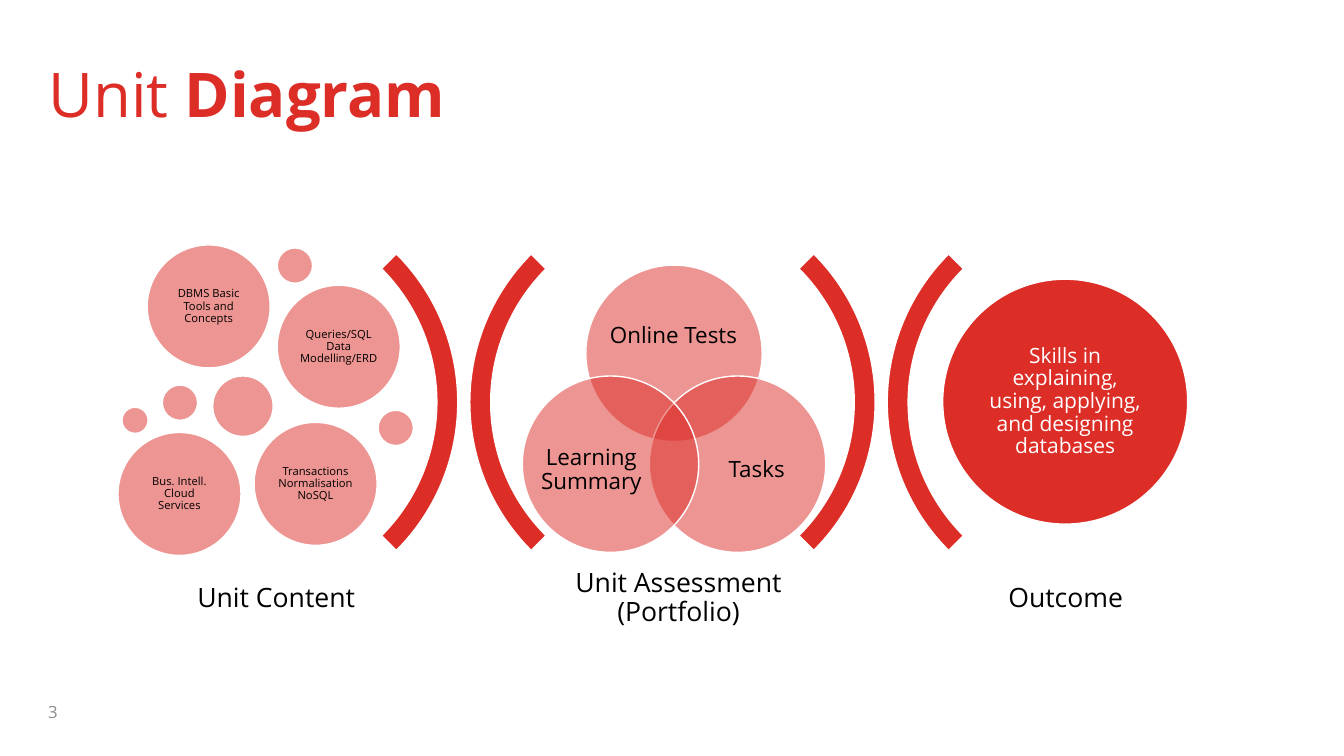
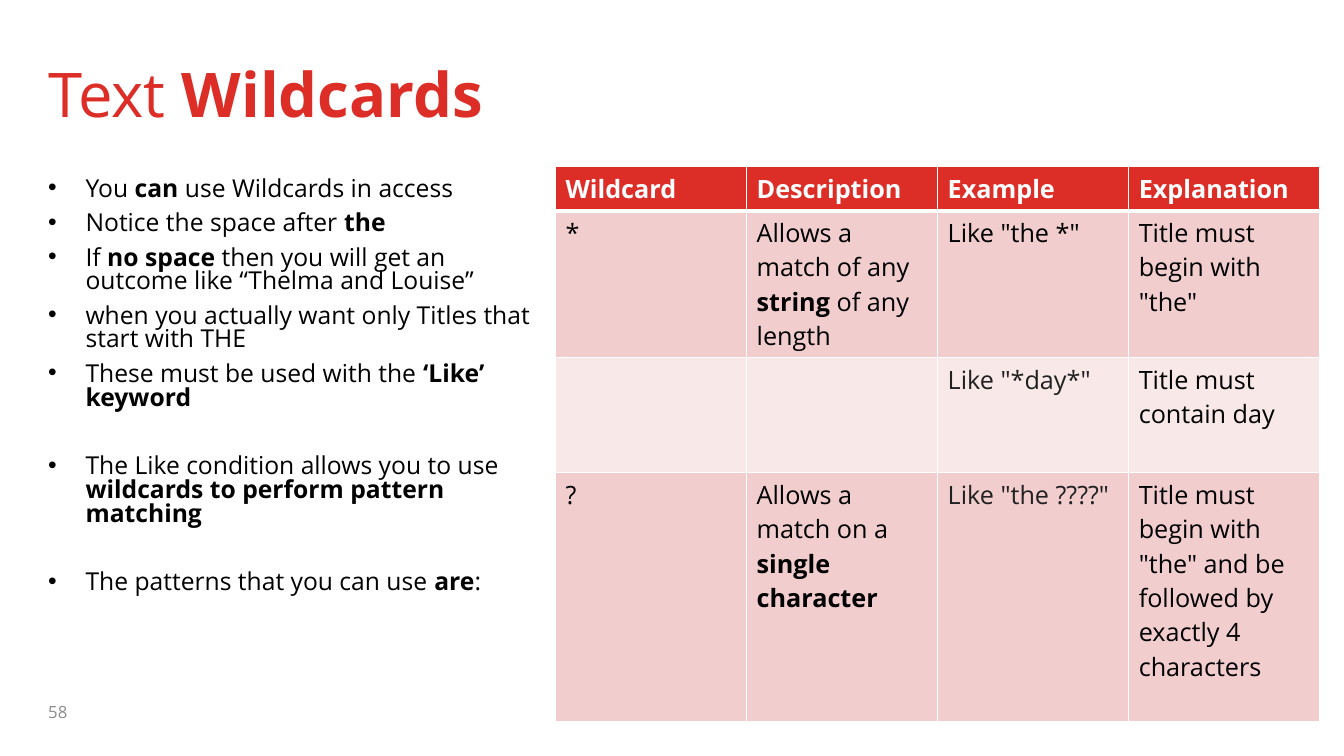
from typing import NamedTuple

from lxml.etree import SubElement
from pptx import Presentation
from pptx.dml.color import RGBColor
from pptx.enum.shapes import MSO_SHAPE
from pptx.enum.text import MSO_ANCHOR, MSO_AUTO_SIZE, PP_ALIGN
from pptx.oxml.ns import qn
from pptx.shapes.autoshape import Shape
from pptx.slide import Slide
from pptx.table import _Cell as Cell
from pptx.text.text import TextFrame, _Paragraph as Paragraph
from pptx.util import Emu, Pt

EMU_PER_PX = 9144
FONT = "Open Sans"
BOLD_MARK = "|"
TITLE_ONLY_LAYOUT = 5
COLORS = {
    "red": "DC2D27",
    "white": "FFFFFF",
    "black": "000000",
    "charcoal": "212121",
    "gray": "8C8C8C",
    "band": "F2CDCD",
    "pale_band": "F9E8E8",
}


class Box(NamedTuple):
    left: int
    top: int
    width: int
    height: int


class Circle(NamedTuple):
    left: int
    top: int
    size: int
    text: str = ""
    text_size: int = 8
    text_color: str = "black"
    opacity: int = 50


class Label(NamedTuple):
    box: Box
    text: str
    size: int
    inset: int = 0


class Bullet(NamedTuple):
    text: str
    space_before: float = 7.7


TITLE_BOX = Box(38, 20, 1258, 145)
NUMBER_BOX = Box(38, 676, 300, 60)
BODY_BOX = Box(38, 165, 502, 520)
TABLE_BOX = Box(551, 165, 758, 551)

ARC_SIZE, ARC_TOP, ARC_PITCH = 416, 191, 414
CLOSING_LEFT, OPENING_LEFT = 38, 466

CIRCLES = [
    Circle(581, 263, 175),
    Circle(644, 373, 175),
    Circle(518, 373, 175),
    Circle(146, 243, 122, "DBMS Basic Tools and Concepts"),
    Circle(161, 382, 35),
    Circle(275, 246, 35),
    Circle(275, 283, 122, "Queries/SQL\nData Modelling/ERD"),
    Circle(375, 407, 35),
    Circle(117, 429, 122, "Bus. Intell.\nCloud\nServices"),
    Circle(252, 419, 122, "Transactions\nNormalisation\nNoSQL"),
    Circle(211, 373, 60),
    Circle(121, 404, 26),
    Circle(935, 277, 243,
           "Skills in explaining, using, applying, and designing databases",
           15, "white", 100),
]

LABELS = [
    Label(Box(604, 294, 128, 79), "Online Tests", 16),
    Label(Box(698, 418, 105, 97), "Tasks", 16),
    Label(Box(534, 418, 105, 97), "Learning Summary", 16),
    Label(Box(116, 552, 316, 84), "Unit Content", 19, 8),
    Label(Box(515, 552, 316, 84), "Unit Assessment (Portfolio)", 19, 8),
    Label(Box(899, 552, 316, 84), "Outcome", 19, 8),
]

SECTION_GAP = 32.2
BULLETS = [
    Bullet("You |can |use Wildcards in access"),
    Bullet("Notice the space after |the"),
    Bullet("If |no space |then you will get an outcome like “Thelma and Louise”"),
    Bullet("when you actually want only Titles that start with THE"),
    Bullet("These must be used with the |‘Like’ keyword"),
    Bullet("The Like condition allows you to use |wildcards to perform pattern matching",
           SECTION_GAP),
    Bullet("The patterns that you can use |are|:", SECTION_GAP),
]

ROW_HEIGHTS = [44, 146, 114, 247]
ROW_FILLS = ["red", "band", "pale_band", "band"]
TABLE_ROWS = [
    ["|Wildcard", "|Description", "|Example", "|Explanation"],
    ["*", "Allows a match of any |string |of any length", 'Like "the *"',
     'Title must begin with "the"'],
    ["", "", 'Like "*day*"', "Title must contain day"],
    ["?", "Allows a match on a |single character", 'Like "the ????"',
     'Title must begin with "the" and be followed by exactly 4 characters'],
]


def px(length: int) -> Emu:
    return Emu(length * EMU_PER_PX)


def place(box: Box) -> list[Emu]:
    return [px(length) for length in box]


def rgb(name: str) -> RGBColor:
    return RGBColor.from_string(COLORS[name])


def write(paragraph: Paragraph, text: str, size: float, color: str) -> None:
    for index, part in enumerate(text.split(BOLD_MARK)):
        if not part:
            continue
        run = paragraph.add_run()
        run.text = part
        run.font.name = FONT
        run.font.size = Pt(size)
        run.font.bold = index % 2 == 1
        run.font.color.rgb = rgb(color)


def write_centered(frame: TextFrame, text: str, size: int, color: str, inset: int) -> None:
    frame.word_wrap = True
    frame.vertical_anchor = MSO_ANCHOR.MIDDLE
    frame.margin_left = frame.margin_right = px(inset)
    frame.margin_top = frame.margin_bottom = px(inset)
    frame.text = text
    for paragraph in frame.paragraphs:
        paragraph.alignment = PP_ALIGN.CENTER
        paragraph.line_spacing = 0.9
        for run in paragraph.runs:
            run.font.name = FONT
            run.font.size = Pt(size)
            run.font.color.rgb = rgb(color)


def fill_shape(shape: Shape, color: str, opacity: int) -> None:
    shape.fill.solid()
    shape.fill.fore_color.rgb = rgb(color)
    if opacity < 100:
        fill_color = shape.element.spPr.find(qn("a:solidFill")).find(qn("a:srgbClr"))
        SubElement(fill_color, qn("a:alpha"), val=str(opacity * 1000))


def add_red_shape(slide: Slide, kind: MSO_SHAPE, box: Box, opacity: int = 100) -> Shape:
    shape = slide.shapes.add_shape(kind, *place(box))
    shape.shadow.inherit = False
    fill_shape(shape, "red", opacity)
    shape.line.color.rgb = rgb("white")
    shape.line.width = Pt(1)
    return shape


def add_arc(slide: Slide, left: int, rotation: int) -> None:
    arc = add_red_shape(slide, MSO_SHAPE.BLOCK_ARC, Box(left, ARC_TOP, ARC_SIZE, ARC_SIZE))
    arc.rotation = rotation
    for index, value in enumerate((135, 189, 0.05)):
        arc.adjustments[index] = value


def add_circle(slide: Slide, circle: Circle) -> None:
    box = Box(circle.left, circle.top, circle.size, circle.size)
    shape = add_red_shape(slide, MSO_SHAPE.OVAL, box, circle.opacity)
    if circle.text:
        write_centered(shape.text_frame, circle.text, circle.text_size, circle.text_color, 3)


def add_label(slide: Slide, label: Label) -> None:
    frame = slide.shapes.add_textbox(*place(label.box)).text_frame
    write_centered(frame, label.text, label.size, "black", label.inset)


def add_titled_slide(presentation: Presentation, title: str, number: str) -> Slide:
    slide = presentation.slides.add_slide(presentation.slide_layouts[TITLE_ONLY_LAYOUT])
    heading = slide.shapes.title
    heading.left, heading.top, heading.width, heading.height = place(TITLE_BOX)
    heading.text_frame.auto_size = MSO_AUTO_SIZE.NONE
    number_frame = slide.shapes.add_textbox(*place(NUMBER_BOX)).text_frame
    for frame, text, size, color in (
        (heading.text_frame, title, 44, "red"),
        (number_frame, number, 12, "gray"),
    ):
        frame.word_wrap = True
        frame.vertical_anchor = MSO_ANCHOR.MIDDLE
        frame.paragraphs[0].alignment = PP_ALIGN.LEFT
        write(frame.paragraphs[0], text, size, color)
    return slide


def add_bullets(slide: Slide, bullets: list[Bullet]) -> None:
    body = slide.shapes.add_textbox(*place(BODY_BOX))
    fill_shape(body, "white", 20)
    frame = body.text_frame
    frame.word_wrap = True
    frame.margin_left = frame.margin_right = px(10)
    frame.margin_top = frame.margin_bottom = px(12)
    for index, bullet in enumerate(bullets):
        paragraph = frame.add_paragraph() if index else frame.paragraphs[0]
        paragraph.line_spacing = 0.8
        paragraph.space_before = Pt(bullet.space_before)
        properties = paragraph._p.get_or_add_pPr()
        properties.set("marL", str(px(37)))
        properties.set("indent", str(px(-37)))
        SubElement(properties, qn("a:buFont"), typeface="Arial")
        SubElement(properties, qn("a:buChar"), char="•")
        write(paragraph, bullet.text, 17.6, "black")


def add_borders(cell: Cell, row: int) -> None:
    widths = {"L": 1, "R": 1, "T": 3 if row == 1 else 1, "B": 3 if row == 0 else 1}
    properties = cell._tc.get_or_add_tcPr()
    for side, width in widths.items():
        border = SubElement(properties, qn(f"a:ln{side}"), w=str(Pt(width)))
        fill = SubElement(border, qn("a:solidFill"))
        SubElement(fill, qn("a:srgbClr"), val=COLORS["white"])


def text_color(row: int, column: int) -> str:
    if row == 0:
        return "white"
    return "charcoal" if column == 2 and row > 1 else "black"


def add_wildcard_table(slide: Slide) -> None:
    shape = slide.shapes.add_table(len(TABLE_ROWS), len(TABLE_ROWS[0]), *place(TABLE_BOX))
    table = shape.table
    table.first_row = table.horz_banding = False
    for row, texts in enumerate(TABLE_ROWS):
        table.rows[row].height = px(ROW_HEIGHTS[row])
        for column, text in enumerate(texts):
            cell = table.cell(row, column)
            add_borders(cell, row)
            cell.fill.solid()
            cell.fill.fore_color.rgb = rgb(ROW_FILLS[row])
            write(cell.text_frame.paragraphs[0], text, 18, text_color(row, column))


def build_diagram_slide(presentation: Presentation) -> None:
    slide = add_titled_slide(presentation, "Unit |Diagram", "3")
    for index in range(2):
        add_arc(slide, CLOSING_LEFT + index * ARC_PITCH, 90)
        add_arc(slide, OPENING_LEFT + index * ARC_PITCH, 270)
    for circle in CIRCLES:
        add_circle(slide, circle)
    for label in LABELS:
        add_label(slide, label)


def build_wildcards_slide(presentation: Presentation) -> None:
    slide = add_titled_slide(presentation, "Text |Wildcards", "58")
    add_bullets(slide, BULLETS)
    add_wildcard_table(slide)


def main() -> None:
    presentation = Presentation()
    presentation.slide_width = px(1333)
    presentation.slide_height = px(750)
    build_diagram_slide(presentation)
    build_wildcards_slide(presentation)
    presentation.save("out.pptx")


if __name__ == "__main__":
    main()
